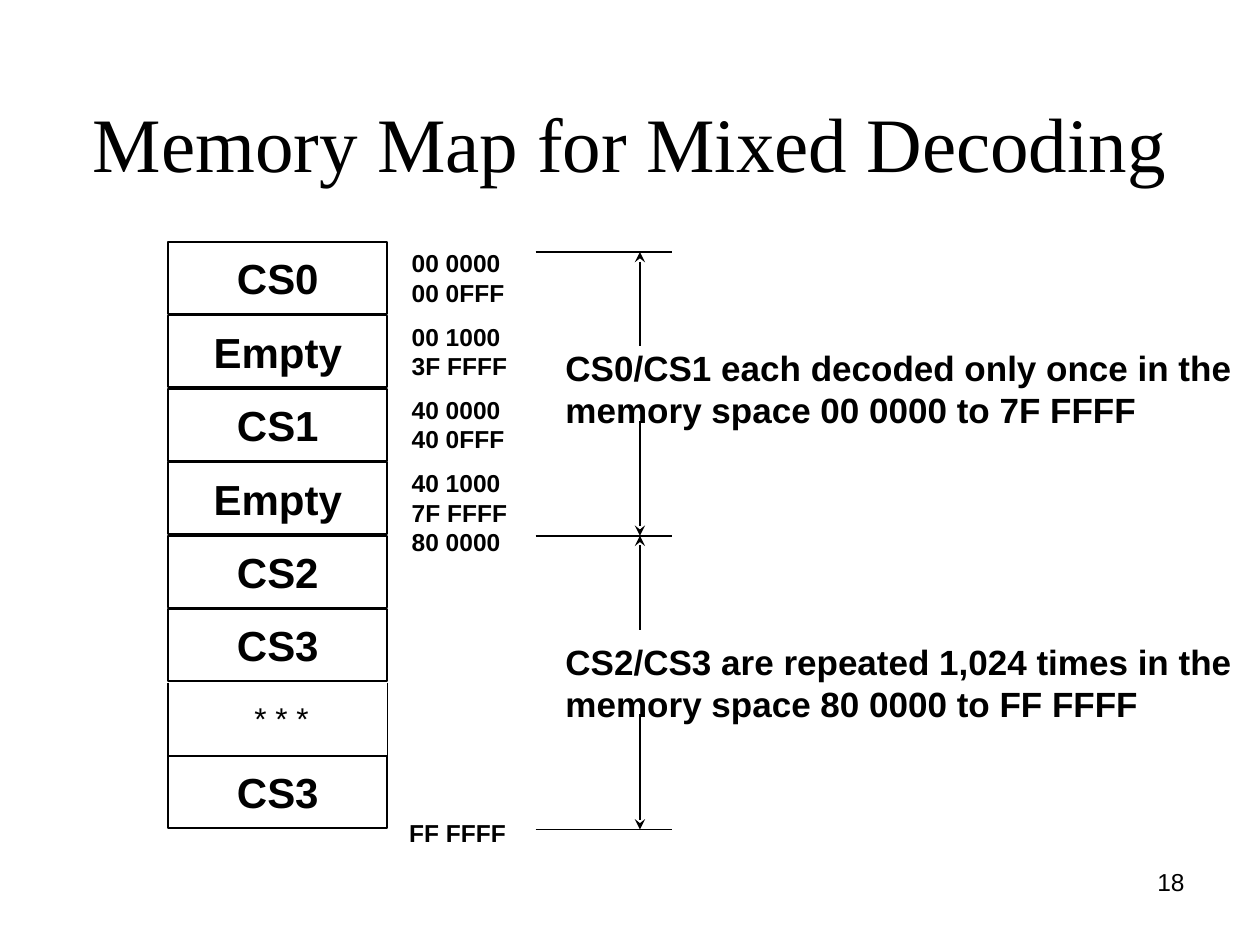
from itertools import pairwise

from lxml.etree import SubElement
from pptx import Presentation
from pptx.dml.color import RGBColor
from pptx.enum.shapes import MSO_CONNECTOR, MSO_SHAPE
from pptx.enum.text import MSO_ANCHOR, PP_ALIGN
from pptx.oxml.ns import qn
from pptx.util import Cm, Pt

COLORS = {"ink": "000000"}
MAP_LEFT, MAP_TOP, MAP_WIDTH = 3.39, 4.88, 4.42
ROW_PITCH, ROW_HEIGHT = 1.48, 1.45
LABEL_LEFT = 8.05
ARROW_X = 12.9

# Row contents: None marks the gap of repeated blocks
MEMORY_ROWS = ["CS0", "Empty", "CS1", "Empty", "CS2", "CS3", None, "CS3"]
ADDRESSES = [
    ["00 0000", "00 0FFF"],
    ["00 1000", "3F FFFF"],
    ["40 0000", "40 0FFF"],
    ["40 1000", "7F FFFF", "80 0000"],
]
BOUNDARIES = [5.08, 10.8, 16.72]
NOTES = [
    (6.86, ["CS0/CS1 each decoded only once in the", "memory space 00 0000 to 7F FFFF"]),
    (12.78, ["CS2/CS3 are repeated 1,024 times in the", "memory space 80 0000 to FF FFFF"]),
]


def ink():
    return RGBColor.from_string(COLORS["ink"])


def write_text(shape, lines, size, bold=False, font="Arial", align=PP_ALIGN.LEFT,
               anchor=MSO_ANCHOR.TOP, wrap=False):
    text_frame = shape.text_frame
    text_frame.text = "\n".join(lines)
    text_frame.word_wrap = wrap
    text_frame.vertical_anchor = anchor
    for paragraph in text_frame.paragraphs:
        paragraph.alignment = align
        for run in paragraph.runs:
            run.font.name = font
            run.font.size = Pt(size)
            run.font.bold = bold
            run.font.color.rgb = ink()


def add_text(slide, left, top, width, height, lines, size, **style):
    box = slide.shapes.add_textbox(Cm(left), Cm(top), Cm(width), Cm(height))
    write_text(box, lines, size, **style)
    return box


def add_line(slide, start, end, arrow=None):
    """Draw a line; arrow is None, "headEnd" (at start) or "tailEnd" (at end)."""
    line = slide.shapes.add_connector(
        MSO_CONNECTOR.STRAIGHT, *(Cm(value) for value in (*start, *end)))
    line.line.color.rgb = ink()
    line.line.width = Pt(1)
    if arrow:
        SubElement(line.line._get_or_add_ln(), qn(f"a:{arrow}"), type="stealth")
    SubElement(line._element.spPr, qn("a:effectLst"))


def add_memory_block(slide, top, name):
    block = slide.shapes.add_shape(
        MSO_SHAPE.RECTANGLE, Cm(MAP_LEFT), Cm(top), Cm(MAP_WIDTH), Cm(ROW_HEIGHT))
    block.shadow.inherit = False
    block.fill.background()
    block.line.color.rgb = ink()
    block.line.width = Pt(1)
    write_text(block, [name], 24, bold=True, align=PP_ALIGN.CENTER,
               anchor=MSO_ANCHOR.MIDDLE)


def add_gap(slide, top):
    """Draw the open row that stands for the repeated blocks."""
    for x in (MAP_LEFT, MAP_LEFT + MAP_WIDTH):
        add_line(slide, (x, top), (x, top + ROW_PITCH))
    add_text(slide, 4.88, top + 0.2, 1.6, 1.02, ["* * *"], 18)


def add_memory_map(slide):
    for row, name in enumerate(MEMORY_ROWS):
        top = MAP_TOP + row * ROW_PITCH
        if name:
            add_memory_block(slide, top, name)
        else:
            add_gap(slide, top)
    for row, lines in enumerate(ADDRESSES):
        add_text(slide, LABEL_LEFT, MAP_TOP + row * ROW_PITCH, 3.43,
                 0.25 + 0.6 * len(lines), lines, 14, bold=True, wrap=True)
    add_text(slide, 8, 16.36, 2.46, 0.84, ["FF FFFF"], 14, bold=True)


def add_ranges(slide):
    for y in BOUNDARIES:
        add_line(slide, (10.8, y), (13.54, y))
    for (upper, lower), (note_top, lines) in zip(pairwise(BOUNDARIES), NOTES):
        add_line(slide, (ARROW_X, upper), (ARROW_X, upper + 1.9), "headEnd")
        add_line(slide, (ARROW_X, lower - 2.32), (ARROW_X, lower), "tailEnd")
        add_text(slide, 11.15, note_top, 13.94, 1.96, lines, 20, bold=True)


def main():
    presentation = Presentation()
    presentation.slide_width = Cm(25.4)
    presentation.slide_height = Cm(19.05)
    slide = presentation.slides.add_slide(presentation.slide_layouts[6])

    title = add_text(slide, 1.27, 0.76, 22.86, 3.18, ["Memory Map for Mixed Decoding"],
                     44, font="Times New Roman", align=PP_ALIGN.CENTER,
                     anchor=MSO_ANCHOR.BOTTOM, wrap=True)
    title.text_frame.paragraphs[0].line_spacing = 0.9
    add_memory_map(slide)
    add_ranges(slide)
    add_text(slide, 18.2, 17.35, 5.93, 1.32, ["18"], 14, align=PP_ALIGN.RIGHT, wrap=True)
    presentation.save("out.pptx")


if __name__ == "__main__":
    main()
